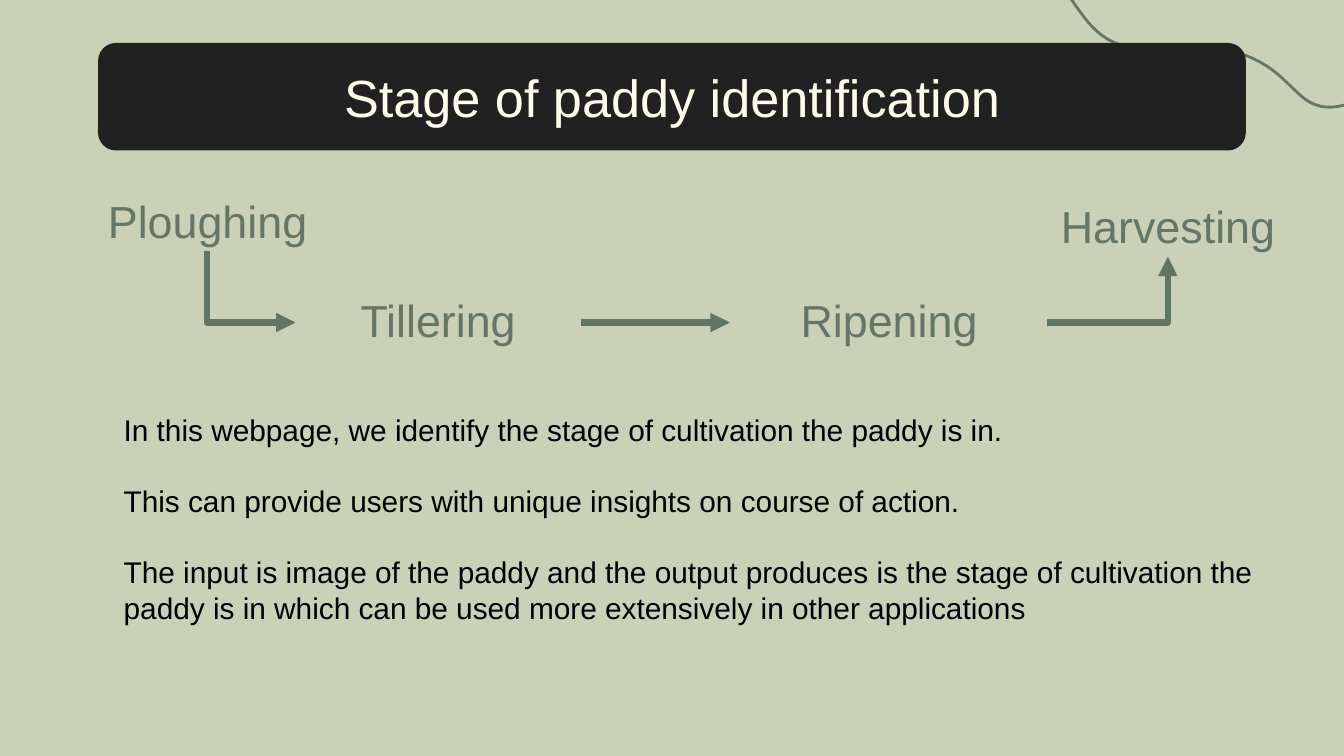
from pptx import Presentation, util as u
from pptx.dml.color import RGBColor
from pptx.enum import shapes, text
from pptx.oxml import ns, xmlchemy as xc

SAGE = RGBColor(0xC9, 0xD2, 0xB7)
MOSS = RGBColor(0x64, 0x77, 0x66)
FERN = RGBColor(0x61, 0x75, 0x63)
COAL = RGBColor(0x21, 0x21, 0x21)
CREAM = RGBColor(0xFF, 0xFC, 0xEC)
BLACK = RGBColor(0, 0, 0)

HEAD = "Stage of paddy identification"
STEPS = [
    ("Ploughing", (0, 0, 1.83, 0.44)),
    ("Tillering", (1.57, 0.74, 2.12, 0.44)),
    ("Ripening", (4.8, 0.74, 2.37, 0.44)),
    ("Harvesting", (7, 0.04, 2.12, 0.44)),
]
LINKS = [
    ((0.91, 0.43), (1.57, 0.96), "down"),
    ((3.69, 0.96), (4.8, 0.96), "flat"),
    ((7.16, 0.96), (8.06, 0.47), "up"),
]
NOTES = [
    "In this webpage, we identify the stage of cultivation the paddy is in.",
    "This can provide users with unique insights on course of action.",
    "The input is image of the paddy and the output produces is the stage of "
    "cultivation the paddy is in which can be used more extensively in other "
    "applications",
]
CURVE = [
    ((0, 0), (0.14, 0.15), (0.22, 0.35), (0.39, 0.45)),
    ((0.39, 0.45), (0.62, 0.59), (0.93, 0.49), (1.2, 0.52)),
    ((1.2, 0.52), (1.39, 0.54), (1.57, 0.62), (1.71, 0.76)),
    ((1.71, 0.76), (1.78, 0.82), (1.85, 0.91), (1.94, 0.94)),
    ((1.94, 0.94), (2.1, 1), (2.26, 0.89), (2.43, 0.86)),
]


def apply(item, vals):
    for key, val in vals.items():
        setattr(item, key, val)


def place(item, box):
    keys = ("left", "top", "width", "height")
    apply(item, dict(zip(keys, map(u.Inches, box))))


def write(par, words, size, color, **form):
    run = par.add_run()
    run.text = words
    apply(run.font, {"name": "Arial", "size": u.Pt(size)})
    run.font.color.rgb = color
    apply(par, form)


def settle(slide, item, box, anchor):
    place(item, box)
    slide.shapes._spTree.append(item._element)
    apply(item.text_frame, {"auto_size": text.MSO_AUTO_SIZE.NONE,
                            "word_wrap": True, "vertical_anchor": anchor})
    return item.text_frame


def add_xml(node, tag, **vals):
    kid = xc.OxmlElement(tag)
    for key, val in vals.items():
        kid.set(key, val)
    node.append(kid)


def bezier(pts, t):
    mix = ((1 - t) ** 3, 3 * t * (1 - t) ** 2, 3 * t * t * (1 - t), t ** 3)
    return tuple(sum(m * u.Inches(p[i]) for m, p in zip(mix, pts))
                 for i in (0, 1))


def vine(slide, left, top):
    dots = [bezier(pts, n / 12) for pts in CURVE for n in range(1, 13)]
    form = slide.shapes.build_freeform(0, 0)
    form.add_line_segments(dots, close=False)
    wave = form.convert_to_shape(u.Inches(left), u.Inches(top))
    wave.shadow.inherit = False
    wave.fill.background()
    wave.line.color.rgb = MOSS
    wave.line.width = u.Pt(1.5)


def banner(slide, box):
    kind = shapes.MSO_SHAPE.ROUNDED_RECTANGLE
    plate = slide.shapes.add_shape(kind, *map(u.Inches, box))
    plate.shadow.inherit = False
    plate.fill.solid()
    plate.fill.fore_color.rgb = COAL
    plate.line.fill.background()
    frame = settle(slide, slide.shapes.title, box, text.MSO_ANCHOR.MIDDLE)
    write(frame.paragraphs[0], HEAD, 28, CREAM, alignment=text.PP_ALIGN.CENTER)


def label(slide, words, box):
    item = slide.shapes.add_textbox(*map(u.Inches, box))
    frame = item.text_frame
    apply(frame, {"word_wrap": True, "margin_top": 0,
                  "margin_bottom": u.Inches(0.1)})
    write(frame.paragraphs[0], words, 24, MOSS,
          alignment=text.PP_ALIGN.CENTER, space_after=u.Pt(12))


def link(slide, start, end, turn):
    (ax, ay), (bx, by) = start, end
    if turn == "down":
        mx, my = (ax + bx) / 2, (ay + by) / 2
        dx, dy = (by - ay) / 2, (bx - ax) / 2
        ax, ay, bx, by = mx + dx, my - dy, mx - dx, my + dy
    ends = map(u.Inches, (ax, ay, bx, by))
    arrow = slide.shapes.add_connector(shapes.MSO_CONNECTOR.ELBOW, *ends)
    arrow.line.color.rgb = FERN
    arrow.line.width = u.Pt(3.5)
    prop = arrow._element.spPr
    if turn != "flat":
        prop.find(ns.qn("a:prstGeom")).set("prst", "bentConnector2")
    if turn == "down":
        prop.find(ns.qn("a:xfrm")).set("rot", "16200000")
    add_xml(prop.find(ns.qn("a:ln")), "a:tailEnd", type="triangle")
    add_xml(prop, "a:effectLst")


def flow(slide, left, top):
    for words, (x, y, wide, high) in STEPS:
        label(slide, words, (left + x, top + y, wide, high))
    for start, end, turn in LINKS:
        ends = [(left + x, top + y) for x, y in (start, end)]
        link(slide, *ends, turn)


def notes(slide, box):
    frame = settle(slide, slide.placeholders[1], box, text.MSO_ANCHOR.TOP)
    for n, words in enumerate(NOTES):
        par = frame.add_paragraph() if n else frame.paragraphs[0]
        write(par, words, 16, BLACK, alignment=text.PP_ALIGN.LEFT,
              space_before=u.Pt(19 if n else 0))
        prop = par._p.get_or_add_pPr()
        apply(prop, {})
        prop.set("marL", "0")
        prop.set("indent", "0")
        add_xml(prop, "a:buNone")


def main():
    deck = Presentation()
    wide = u.Inches(10)
    apply(deck, {"slide_width": wide, "slide_height": wide * 9 // 16})
    slide = deck.slides.add_slide(deck.slide_layouts[1])
    slide.background.fill.solid()
    slide.background.fill.fore_color.rgb = SAGE
    vine(slide, 7.85, -0.16)
    banner(slide, (0.73, 0.32, 8.54, 0.8))
    flow(slide, 0.63, 1.44)
    notes(slide, (0.82, 3.01, 8.86, 2.79))
    deck.save("out.pptx")


if __name__ == "__main__":
    main()
